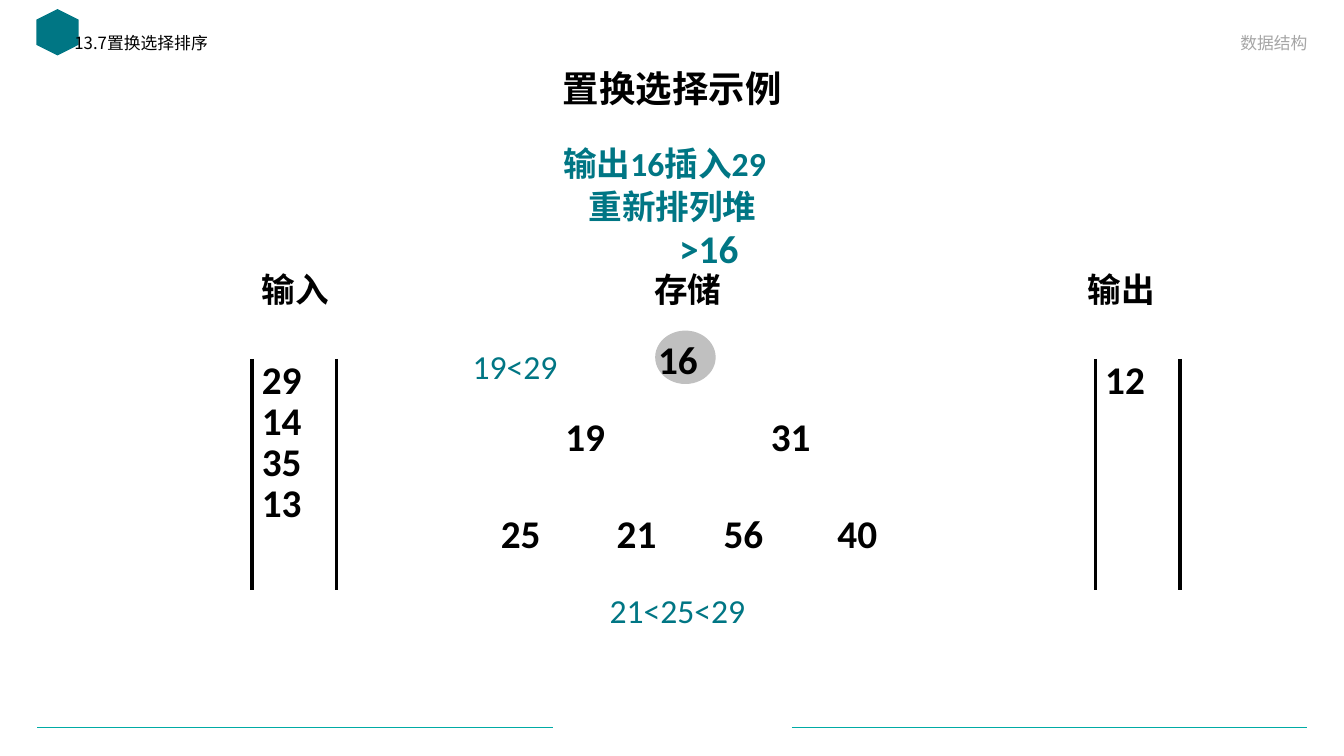
from lxml import etree
from pptx import Presentation, util as u
from pptx.dml.color import RGBColor
from pptx.enum import shapes, text
from pptx.oxml import ns

WIDTH, HEIGHT = u.Inches(13.33), u.Inches(7.5)
COLUMN, ROW = WIDTH / 40, HEIGHT / 30
BLACK, TEAL, BRIGHT_TEAL = "000000", "007684", "00ABA5"
CHINESE_FONT = "Noto Sans CJK SC"


def color(hex_string):
    """Return the colour for a hex string."""
    return RGBColor.from_string(hex_string)


def grid(column, row):
    """Turn grid columns and rows into slide lengths."""
    return round(column * COLUMN), round(row * ROW)


def add_text(slide, box, words, size, ink=BLACK, font="Calibri", bold=True, wrap=False,
             align=text.PP_ALIGN.LEFT, anchor=text.MSO_ANCHOR.TOP, spacing=1.0):
    """Write one paragraph in a box given in grid units."""
    left, top, width, height = box
    shape = slide.shapes.add_textbox(*grid(left, top), *grid(width, height))
    frame = shape.text_frame
    frame.text = words
    frame.word_wrap = wrap
    frame.vertical_anchor = anchor
    paragraph = frame.paragraphs[0]
    paragraph.alignment = align
    paragraph.line_spacing = spacing
    run = paragraph.runs[0]
    run.font.name, run.font.size, run.font.bold = font, u.Pt(size), bold
    run.font.color.rgb = color(ink)
    east_asian = etree.SubElement(run.font._element, ns.qn("a:ea"))
    east_asian.set("typeface", CHINESE_FONT)


def add_line(slide, start, end, ink, weight):
    """Draw a straight line between two grid points."""
    line = slide.shapes.add_connector(shapes.MSO_CONNECTOR.STRAIGHT, *grid(*start), *grid(*end))
    line.line.color.rgb = color(ink)
    line.line.width = u.Pt(weight)
    etree.SubElement(line._element.spPr, ns.qn("a:effectLst"))


def add_filled(slide, kind, box, fill):
    """Add a borderless filled shape in a box given in grid units."""
    left, top, width, height = box
    shape = slide.shapes.add_shape(kind, *grid(left, top), *grid(width, height))
    shape.shadow.inherit = False
    shape.fill.solid()
    shape.fill.fore_color.rgb = color(fill)
    shape.line.fill.background()
    return shape


def add_header(slide, left, top, width):
    """Place the emblem, section name, course name and slide title."""
    emblem = add_filled(slide, shapes.MSO_SHAPE.HEXAGON, (left, top + 0.44, 1.38, 1.68), TEAL)
    emblem.rotation = 90
    add_text(slide, (left + 0.9, top + 1.2, 15.96, 1.44), "13.7置换选择排序", 12,
             font=CHINESE_FONT, bold=False, wrap=True, spacing=0.9)
    add_text(slide, (left + width - 16.92, top + 0.88, 16.92, 1.4), "数据结构", 12, "A6A6A6",
             CHINESE_FONT, False, True, text.PP_ALIGN.RIGHT, text.MSO_ANCHOR.BOTTOM)
    add_text(slide, (left + 1.74, top + 2.48, 34.5, 2.28), "置换选择示例", 26,
             font=CHINESE_FONT, wrap=True, align=text.PP_ALIGN.CENTER,
             anchor=text.MSO_ANCHOR.MIDDLE, spacing=0.9)


def add_steps(slide, left, top):
    """Describe the current step of the algorithm."""
    add_text(slide, (left, top, 11.7, 2), "输出16插入29", 24, TEAL, wrap=True)
    add_text(slide, (left + 0.75, top + 1.72, 5.76, 2), "重新排列堆", 24, TEAL)
    add_text(slide, (left + 3.45, top + 3.24, 2.46, 2.28), ">16", 28, TEAL)


def add_queue(slide, left, top, name, values, name_shift=0.0):
    """Draw a named queue with two rails and its values from top to bottom."""
    add_text(slide, (left + name_shift, top, 4.5, 2), name, 24, font="Lato", wrap=True)
    for rail in (left, left + 2.52):
        add_line(slide, (rail, top + 3.76), (rail, top + 12.92), BLACK, 2.25)
    for index, value in enumerate(values):
        add_text(slide, (left, top + 3.44 + 1.62 * index, 2.16, 2.28), value, 28)


def add_heap(slide, left, top):
    """Draw the heap in storage, its highlighted root and the comparisons."""
    add_text(slide, (left + 5.4, top, 5.4, 2), "存储", 24, font="Lato", wrap=True)
    add_filled(slide, shapes.MSO_SHAPE.OVAL, (left + 5.73, top + 2.64, 1.8, 2.12), "C0C0C0")
    levels = [
        (2.64, [(5.52, "16")]),
        (5.7, [(2.76, "19"), (8.88, "31")]),
        (9.54, [(0.84, "25"), (4.29, "21"), (7.47, "56"), (10.86, "40")]),
    ]
    for row, nodes in levels:
        for column, value in nodes:
            add_text(slide, (left + column, top + row, 2.16, 2.28), value, 28)
    add_text(slide, (left, top + 3.04, 3.15, 2), "19<29", 24, TEAL, bold=False)
    add_text(slide, (left + 4.08, top + 12.72, 4.68, 2), "21<25<29", 24, TEAL, bold=False)


def add_footer(slide, left, row, width):
    """Draw the two footer rules at the ends of the given width."""
    rule = 15.34
    for start in (left, left + width - rule):
        add_line(slide, (start, row), (start + rule, row), BRIGHT_TEAL, 0.5)


def main():
    """Build and save the slide."""
    presentation = Presentation()
    presentation.slide_width, presentation.slide_height = WIDTH, HEIGHT
    slide = presentation.slides.add_slide(presentation.slide_layouts[6])
    add_footer(slide, 1.11, 28.88, 37.8)
    add_header(slide, 1.02, 0, 38.19)
    add_steps(slide, 16.47, 5.48)
    add_queue(slide, 7.5, 10.48, "输入", ["29", "14", "35", "13"])
    add_heap(slide, 13.77, 10.48)
    add_queue(slide, 32.6, 10.48, "输出", ["12"], -0.53)
    presentation.save("out.pptx")


if __name__ == "__main__":
    main()
